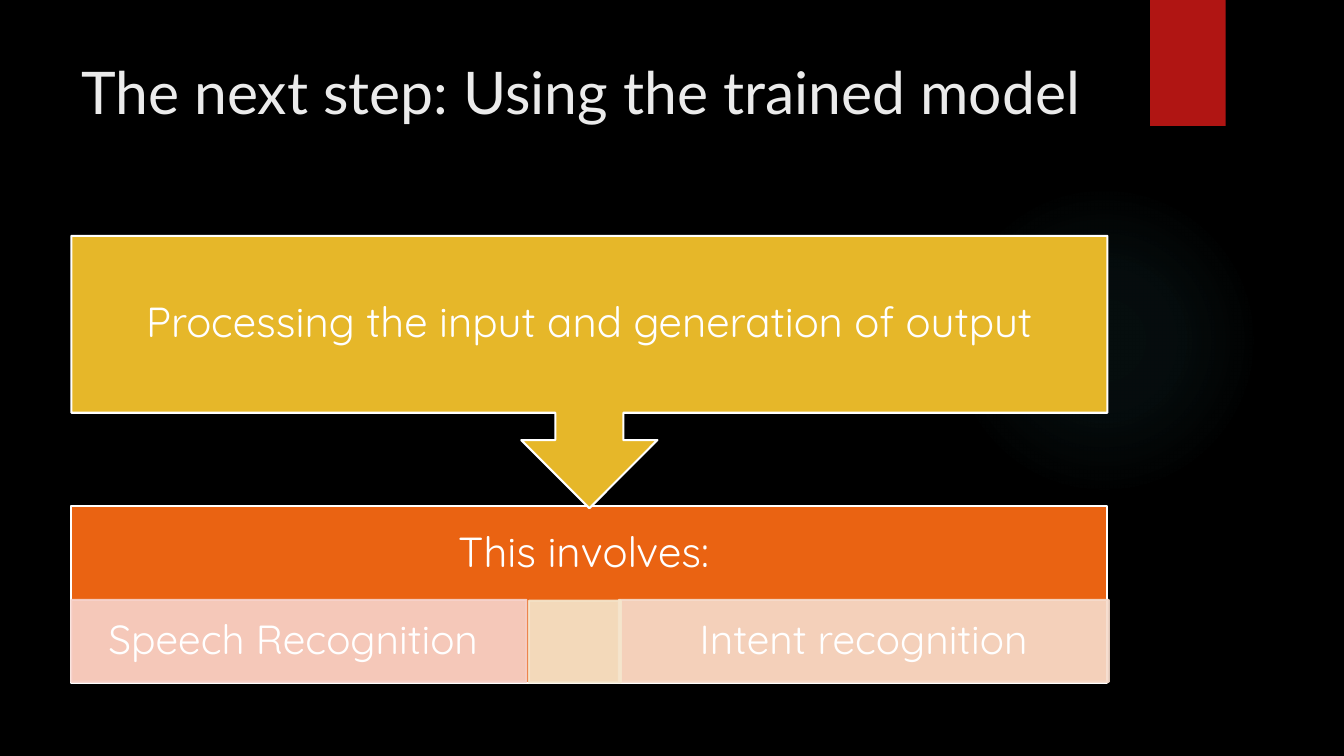
from lxml import etree
from pptx import Presentation
from pptx.dml.color import RGBColor
from pptx.enum.shapes import MSO_SHAPE
from pptx.enum.text import MSO_ANCHOR, PP_ALIGN
from pptx.oxml import parse_xml
from pptx.oxml.ns import nsdecls, qn
from pptx.util import Pt

RECTANGLE = MSO_SHAPE.RECTANGLE
OVAL = MSO_SHAPE.OVAL
CALLOUT = MSO_SHAPE.DOWN_ARROW_CALLOUT
CENTER = PP_ALIGN.CENTER
LEFT = PP_ALIGN.LEFT
TOP = MSO_ANCHOR.TOP
MIDDLE = MSO_ANCHOR.MIDDLE


def color(value):
    return RGBColor.from_string(value)


def write(box, text, font_name, size, font_color, align, anchor, spacing, insets):
    frame = box.text_frame
    frame.word_wrap = True
    frame.vertical_anchor = anchor
    for side, inset in zip(("left", "top", "right", "bottom"), insets):
        setattr(frame, f"margin_{side}", Pt(inset))
    para = frame.paragraphs[0]
    para.alignment = align
    para.line_spacing = spacing
    span = para.add_run()
    span.text = text
    span.font.color.rgb = color(font_color)
    for name, value in {"name": font_name, "size": Pt(size)}.items():
        setattr(span.font, name, value)


deck = Presentation()
deck.slide_width = Pt(960)
deck.slide_height = Pt(540)
page = deck.slides.add_slide(deck.slide_layouts[6])
page.background.fill.solid()
page.background.fill.fore_color.rgb = color("000000")

glow = page.shapes.add_shape(OVAL, Pt(677.5), Pt(131.8), Pt(221.8), Pt(221.8))
glow.shadow.inherit = False
glow.line.fill.background()
glow.fill.background()
stops = "".join(
    f'<a:gs pos="{position * 1000}"><a:srgbClr val="50B9C1">'
    f'<a:alpha val="{opacity * 1000}"/></a:srgbClr></a:gs>'
    for position, opacity in ((0, 7), (36, 6), (69, 0), (100, 0))
)
gradient = parse_xml(
    f'<a:gradFill {nsdecls("a")}><a:gsLst>{stops}</a:gsLst><a:path path="circle">'
    '<a:fillToRect l="50000" t="50000" r="50000" b="50000"/></a:path></a:gradFill>'
)
properties = glow.element.spPr
properties.replace(properties.find(qn("a:noFill")), gradient)

ribbon = page.shapes.add_shape(RECTANGLE, Pt(821.5), Pt(0), Pt(54), Pt(90))
ribbon.shadow.inherit = False
ribbon.fill.solid()
ribbon.fill.fore_color.rgb = color("B01513")
ribbon.line.fill.background()

title = page.shapes.add_textbox(Pt(51), Pt(36), Pt(741), Pt(110))
write(title, "The next step: Using the trained model", "Lato", 42, "EBEBEB",
      LEFT, TOP, 1.0, (7.2, 3.6, 7.2, 3.6))

blocks = (
    (RECTANGLE, (51, 361.5, 740, 126.5), "EA6312", "FFFFFF", 100,
     "This involves: ", 30, (16.5, 16.5, 16.5, 74.5)),
    (RECTANGLE, (51, 428.5, 325, 58.5), "F7D3CC", "F7D3CC", 90,
     "Speech Recognition ", 29, (16.5, 3, 16.5, 3)),
    (RECTANGLE, (442, 428.5, 350, 58.5), "F6DCCD", "F6DCCD", 90,
     "Intent recognition", 29, (16.5, 3, 16.5, 3)),
    (RECTANGLE, (378, 429, 65.5, 58.5), "F5E6CD", "F5E6CD", 90, "", 29, ()),
    (CALLOUT, (51, 168.5, 740, 194.5), "E6B729", "FFFFFF", 100,
     "Processing the input and generation of output", 30, (16.5,) * 4),
)
for kind, place, fill, edge, opacity, text, size, insets in blocks:
    block = page.shapes.add_shape(kind, *map(Pt, place))
    block.shadow.inherit = False
    block.fill.solid()
    block.fill.fore_color.rgb = color(fill)
    block.line.color.rgb = color(edge)
    block.line.width = Pt(1.5)
    if opacity < 100:
        for tint in block.element.spPr.iter(qn("a:srgbClr")):
            etree.SubElement(tint, qn("a:alpha"), val=str(opacity * 1000))
    if text:
        write(block, text, "Quicksand", size, "FFFFFF", CENTER, MIDDLE, 0.9, insets)

deck.save("out.pptx")
